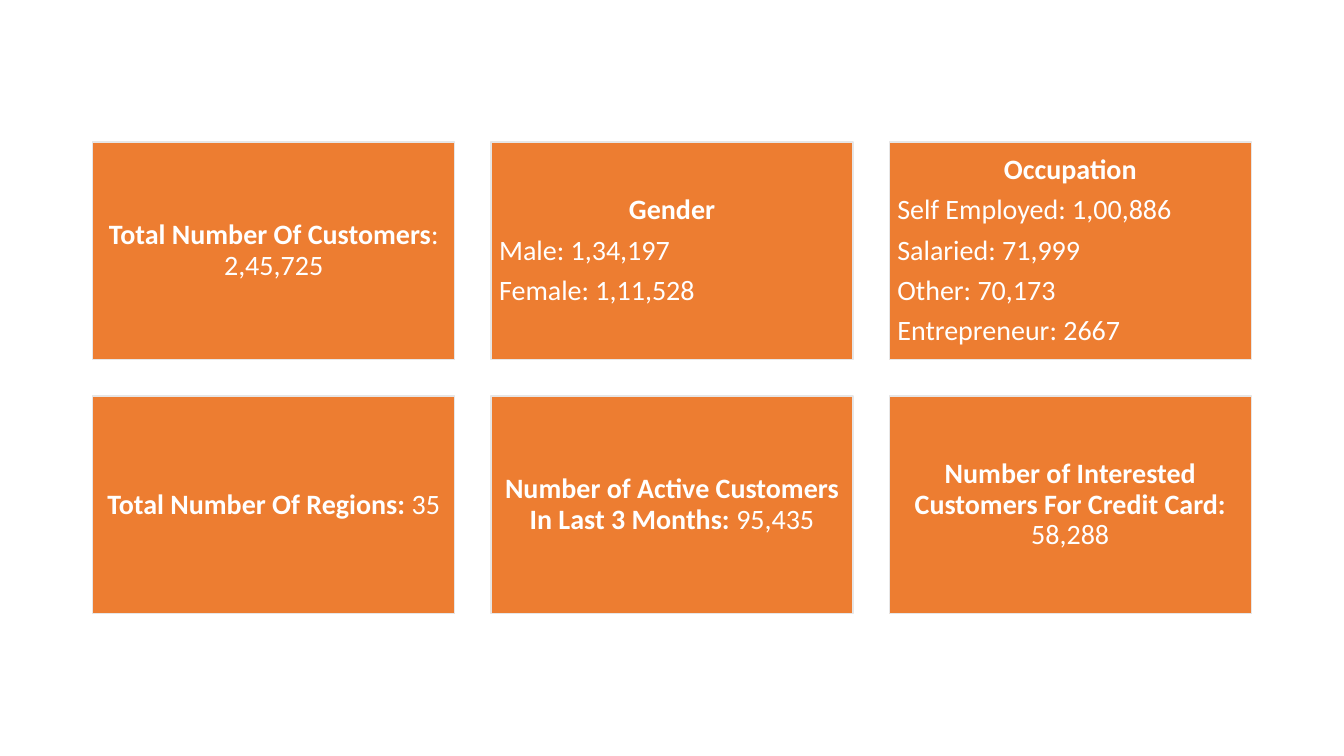
from dataclasses import dataclass

from pptx import Presentation
from pptx.dml.color import RGBColor
from pptx.enum.shapes import MSO_SHAPE
from pptx.enum.text import MSO_ANCHOR, PP_ALIGN
from pptx.slide import Slide
from pptx.text.text import TextFrame
from pptx.util import Inches, Pt

GRID_LEFT, GRID_TOP = 0.92, 1.41
GRID_COLUMNS = 3
CARD_WIDTH, CARD_HEIGHT = 3.59, 2.16
CARD_GAP = 0.36

ORANGE, LIGHT_GRAY, WHITE = "ED7D31", "E7E6E6", "FFFFFF"

FONT_FORMAT = {"name": "Calibri", "size": Pt(20)}
PARAGRAPH_FORMAT = {"line_spacing": 0.9, "space_before": Pt(0), "space_after": Pt(7)}
FRAME_FORMAT = {
    "word_wrap": True,
    "vertical_anchor": MSO_ANCHOR.MIDDLE,
    **{f"margin_{side}": Inches(0.08) for side in ("left", "top", "right", "bottom")},
}


@dataclass(frozen=True)
class Card:
    heading: str
    value: str = ""
    details: tuple[str, ...] = ()


CARDS = (
    Card("Total Number Of Customers", ": 2,45,725"),
    Card("Gender", details=("Male: 1,34,197", "Female: 1,11,528")),
    Card("Occupation", details=("Self Employed: 1,00,886", "Salaried: 71,999",
                                "Other: 70,173", "Entrepreneur: 2667")),
    Card("Total Number Of Regions: ", "35"),
    Card("Number of Active Customers In Last 3 Months: ", "95,435"),
    Card("Number of Interested Customers For Credit Card: ", "58,288"),
)


def color(hex_value: str) -> RGBColor:
    return RGBColor.from_string(hex_value)


def apply_format(target: object, values: dict) -> None:
    for name, value in values.items():
        setattr(target, name, value)


def write_card_text(text_frame: TextFrame, card: Card) -> None:
    """Write a centred heading with its value, then left-aligned details."""
    apply_format(text_frame, FRAME_FORMAT)
    lines = [((card.heading, True), (card.value, False))]
    lines += [((detail, False),) for detail in card.details]
    for index, runs in enumerate(lines):
        paragraph = text_frame.add_paragraph() if index else text_frame.paragraphs[0]
        apply_format(paragraph, PARAGRAPH_FORMAT)
        paragraph.alignment = PP_ALIGN.LEFT if index else PP_ALIGN.CENTER
        for text, bold in runs:
            if text:
                run = paragraph.add_run()
                run.text = text
                apply_format(run.font, {**FONT_FORMAT, "bold": bold})
                run.font.color.rgb = color(WHITE)


def draw_card(slide: Slide, card: Card, row: int, column: int) -> None:
    shape = slide.shapes.add_shape(
        MSO_SHAPE.RECTANGLE,
        Inches(GRID_LEFT + column * (CARD_WIDTH + CARD_GAP)),
        Inches(GRID_TOP + row * (CARD_HEIGHT + CARD_GAP)),
        Inches(CARD_WIDTH),
        Inches(CARD_HEIGHT),
    )
    shape.shadow.inherit = False
    shape.fill.solid()
    shape.fill.fore_color.rgb = color(ORANGE)
    shape.line.color.rgb = color(LIGHT_GRAY)
    shape.line.width = Pt(1)
    write_card_text(shape.text_frame, card)


def main() -> None:
    presentation = Presentation()
    presentation.slide_width = Inches(13.33)
    presentation.slide_height = Inches(7.5)
    slide = presentation.slides.add_slide(presentation.slide_layouts[6])
    for index, card in enumerate(CARDS):
        draw_card(slide, card, *divmod(index, GRID_COLUMNS))
    presentation.save("out.pptx")


if __name__ == "__main__":
    main()
